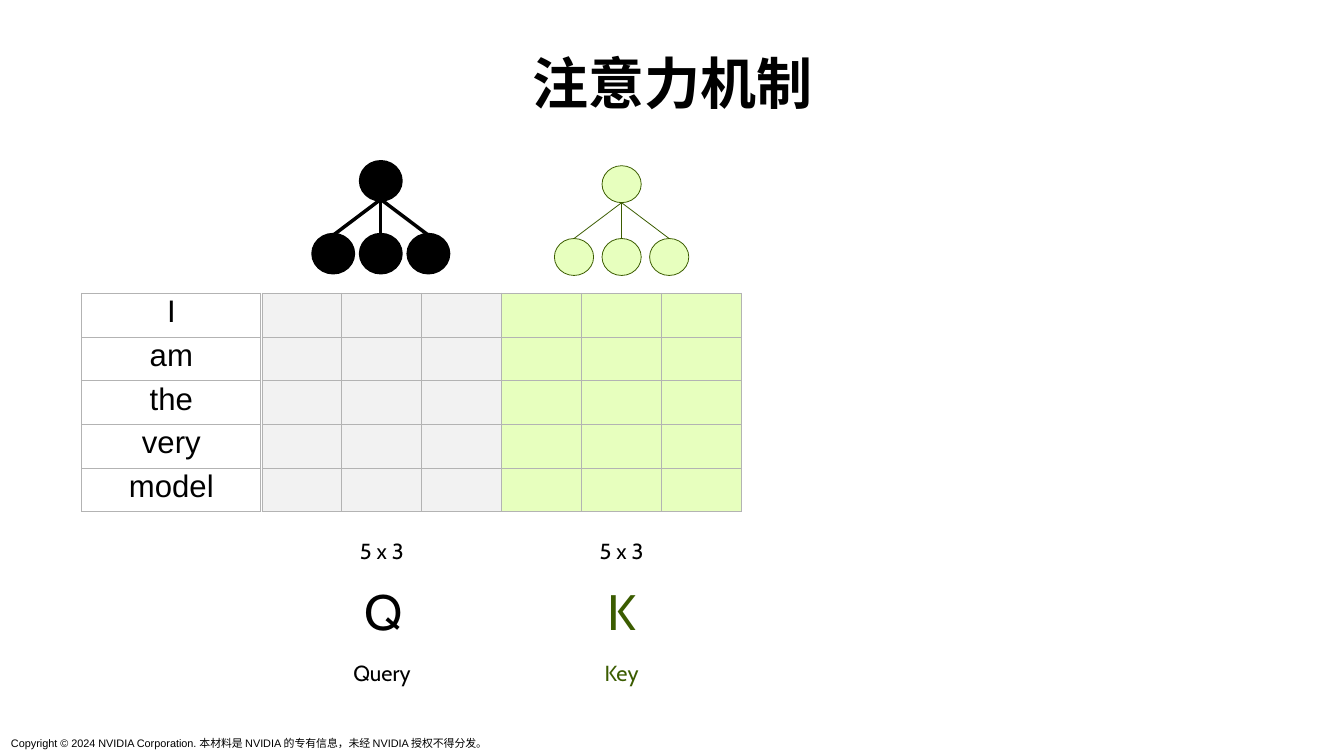
from lxml import etree
from pptx import Presentation
from pptx import util as u
from pptx.dml import color
from pptx.enum import shapes, text
from pptx.oxml import ns

Inches = u.Inches
COLORS = {
    "black": "000000",
    "green": "3B5C00",
    "light_green": "E7FFBE",
    "light_gray": "F2F2F2",
    "border": "B3B3B3",
}
WORDS = ["I", "am", "the", "very", "model"]
ROW_HEIGHT = 0.39
TABLE_TOP = 2.62


def rgb(name):
    return color.RGBColor.from_string(COLORS[name])


def add_text(slide, box, content, size, font_name, color_name="black", bold=False,
             align=text.PP_ALIGN.CENTER, anchor=text.MSO_ANCHOR.MIDDLE,
             spacing=0.9, wrap=True):
    shape = slide.shapes.add_textbox(*map(Inches, box))
    frame = shape.text_frame
    frame.text = content
    frame.word_wrap = wrap
    frame.vertical_anchor = anchor
    paragraph = frame.paragraphs[0]
    paragraph.alignment = align
    paragraph.line_spacing = spacing
    font = paragraph.runs[0].font
    font.name, font.size, font.bold = font_name, u.Pt(size), bold
    font.color.rgb = rgb(color_name)
    return paragraph.runs[0]


def add_title(slide, box):
    run = add_text(slide, box, "注意力机制", 36, "Noto Sans CJK SC", bold=True,
                   anchor=text.MSO_ANCHOR.BOTTOM)
    properties = run.font._element
    etree.SubElement(properties, ns.qn("a:ea"), typeface="Noto Sans CJK SC")


def add_network(slide, left, top, fill, line, node_width, edge_width):
    group = slide.shapes.add_group_shape()
    width, height, step, drop = 0.35, 0.33, 0.425, 0.65
    center = left + step + width / 2
    nodes = [(step, 0), (2 * step, drop), (step, drop), (0, drop)]
    for x, y in nodes:
        node = group.shapes.add_shape(
            shapes.MSO_SHAPE.OVAL, Inches(left + x), Inches(top + y),
            Inches(width), Inches(height))
        node.shadow.inherit = False
        node.fill.solid()
        node.fill.fore_color.rgb = rgb(fill)
        node.line.color.rgb = rgb(line)
        node.line.width = u.Pt(node_width)
    for offset in (step, 0, -step):
        edge = group.shapes.add_connector(
            shapes.MSO_CONNECTOR.STRAIGHT, Inches(center), Inches(top + height),
            Inches(center + offset), Inches(top + drop))
        edge.line.color.rgb = rgb(line)
        edge.line.width = u.Pt(edge_width)
        etree.SubElement(edge._element.spPr, ns.qn("a:effectLst"))


def set_borders(cell):
    properties = cell._tc.get_or_add_tcPr()
    for index, side in enumerate(("lnL", "lnR", "lnT", "lnB")):
        line = etree.Element(ns.qn("a:" + side), w=str(u.Pt(0.75)))
        solid = etree.SubElement(line, ns.qn("a:solidFill"))
        etree.SubElement(solid, ns.qn("a:srgbClr"), val=COLORS["border"])
        properties.insert(index, line)


def add_grid(slide, left, width, columns, fill=None, words=None):
    rows = len(WORDS)
    table = slide.shapes.add_table(
        rows, columns, Inches(left), Inches(TABLE_TOP),
        Inches(width), Inches(rows * ROW_HEIGHT)).table
    table.first_row = table.horz_banding = False
    for row in table.rows:
        row.height = Inches(ROW_HEIGHT)
    for cell in table.iter_cells():
        cell.margin_left = cell.margin_right = Inches(0.03)
        cell.margin_top = cell.margin_bottom = Inches(0.01)
        if fill:
            cell.fill.solid()
            cell.fill.fore_color.rgb = rgb(fill)
        else:
            cell.fill.background()
        set_borders(cell)
    for row, word in enumerate(words or []):
        cell = table.cell(row, 0)
        cell.text = word
        paragraph = cell.text_frame.paragraphs[0]
        paragraph.alignment = text.PP_ALIGN.CENTER
        font = paragraph.runs[0].font
        font.name, font.size = "Arial", u.Pt(20)
        font.color.rgb = rgb("black")


def add_captions(slide, center, letter, name, color_name, letter_width, name_width):
    captions = [
        ("5 x 3", 14, 4.78, 1.3, 0.31, "black", True),
        (letter, 32, 5.19, letter_width, 0.59, color_name, False),
        (name, 14, 5.87, name_width, 0.31, color_name, False),
    ]
    for content, size, top, width, height, tint, wrap in captions:
        add_text(slide, (center - width / 2, top, width, height),
                 content, size, "Cabin", tint, wrap=wrap)


def add_footer(slide, box):
    add_text(slide, box,
             "Copyright © 2024 NVIDIA Corporation. 本材料是 NVIDIA 的专有信息，"
             "未经 NVIDIA 授权不得分发。",
             7, "Arial", align=text.PP_ALIGN.LEFT,
             anchor=text.MSO_ANCHOR.TOP, spacing=1.0)


def main():
    presentation = Presentation()
    presentation.slide_width = Inches(12)
    presentation.slide_height = Inches(6.75)
    slide = presentation.slides.add_slide(presentation.slide_layouts[6])
    add_title(slide, (0.55, 0.44, 10.91, 0.65))
    add_network(slide, 2.8, 1.45, "black", "black", 3, 2.25)
    add_network(slide, 4.95, 1.48, "light_green", "green", 0.5, 0.5)
    add_grid(slide, 0.73, 1.6, 1, words=WORDS)
    add_grid(slide, 4.48, 2.14, 3, "light_green")
    add_grid(slide, 2.34, 2.14, 3, "light_gray")
    add_captions(slide, 3.41, "Q", "Query", "black", 0.51, 0.72)
    add_captions(slide, 5.55, "K", "Key", "green", 0.46, 0.52)
    add_footer(slide, (0, 6.53, 4.53, 0.22))
    presentation.save("out.pptx")


if __name__ == "__main__":
    main()
